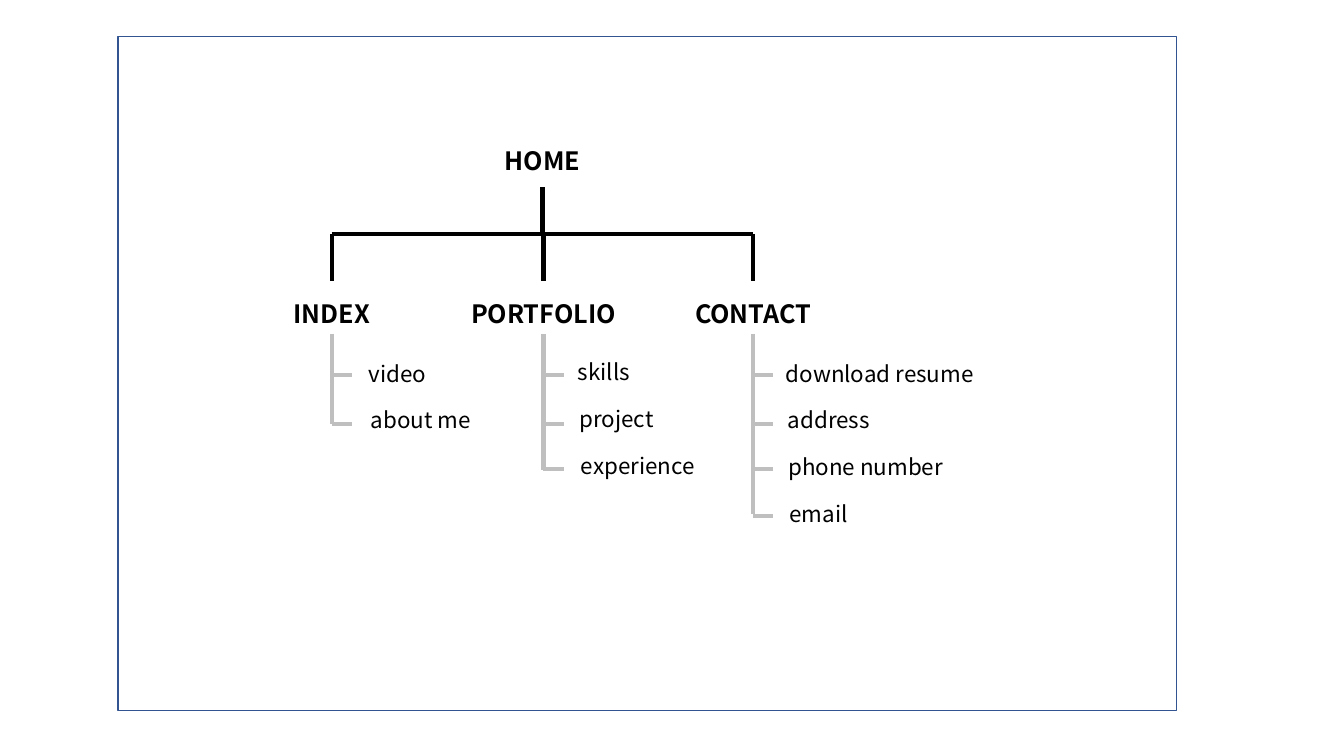
from pptx import Presentation
from pptx.dml.color import RGBColor
from pptx.enum.shapes import MSO_CONNECTOR as Conn, MSO_SHAPE as Shape
from pptx.enum.text import MSO_AUTO_SIZE as Fit, PP_ALIGN as Align
from pptx.oxml.ns import qn
from pptx.util import Emu, Pt
from lxml.etree import SubElement

FONT = "Noto Sans CJK KR"
BLACK = RGBColor(0x00, 0x00, 0x00)
GRAY = RGBColor(0xBF, 0xBF, 0xBF)
BLUE = RGBColor(0x32, 0x54, 0x91)

# Content: title, center x, trunk end y, items as (label, left, top, width)
BRANCHES = [
    ("INDEX", 329, 421, [
        ("video", 329, 352, 130),
        ("about me", 339, 398, 157)]),
    ("PORTFOLIO", 539, 466, [
        ("skills", 534, 350, 130),
        ("project", 533, 397, 157),
        ("experience", 515, 444, 235)]),
    ("CONTACT", 747, 510, [
        ("download resume", 765, 352, 215),
        ("address", 757, 398, 130),
        ("phone number", 741, 445, 235),
        ("email", 747, 491, 130)]),
]
ROOT = ("HOME", 538, 139)

# Layout in px, 100 to the inch
PX = 9144
HEAD_W, HEAD_H, ITEM_H = 182, 40, 37
HEAD_Y = 291
STEM_Y, BAR_Y, DROP_Y = 186, 232, 279
TICKS = [372, 421, 465, 512]
TICK_W = 20
FRAME = (117, 36, 1050, 669)


def px(*nums):
    return [Emu(round(n * PX)) for n in nums]


def label(text, x, y, w, h, size, bold=False):
    box = slide.shapes.add_textbox(*px(x, y, w, h))
    frame = box.text_frame
    frame.word_wrap = True
    frame.auto_size = Fit.SHAPE_TO_FIT_TEXT
    para = frame.paragraphs[0]
    para.alignment = Align.CENTER
    run = para.add_run()
    run.text = text
    font = run.font
    font.name, font.size, font.bold = FONT, Pt(size), bold
    font.color.rgb = BLACK
    return box


def head(text, mid, y):
    return label(text, mid - HEAD_W // 2, y, HEAD_W, HEAD_H, 18, True)


def line(x1, y1, x2, y2, color):
    rule = slide.shapes.add_connector(Conn.STRAIGHT, *px(x1, y1, x2, y2))
    rule.line.color.rgb = color
    rule.line.width = Pt(3)
    SubElement(rule._element.spPr, qn("a:effectLst"))
    return rule


deck = Presentation()
deck.slide_width, deck.slide_height = px(1333, 750)
slide = deck.slides.add_slide(deck.slide_layouts[6])

# Root with its stem and the bar across all branches
head(*ROOT)
line(ROOT[1], STEM_Y, ROOT[1], BAR_Y, BLACK)
line(BRANCHES[0][1], BAR_Y, BRANCHES[-1][1], BAR_Y, BLACK)

# Branches: drop, title, trunk, then a tick and a label per item
for title, mid, end, items in BRANCHES:
    line(mid, BAR_Y, mid, DROP_Y, BLACK)
    box = head(title, mid, HEAD_Y)
    trunk = line(mid, HEAD_Y + HEAD_H, mid, end, GRAY)
    trunk.begin_connect(box, 2)
    for tick, (text, x, y, w) in zip(TICKS, items):
        line(mid, tick, mid + TICK_W, tick, GRAY)
        label(text, x, y, w, ITEM_H, 16)

# Outer frame
edge = slide.shapes.add_shape(Shape.RECTANGLE, *px(*FRAME))
edge.shadow.inherit = False
edge.fill.background()
edge.line.color.rgb = BLUE
edge.line.width = Pt(1)

deck.save("out.pptx")
